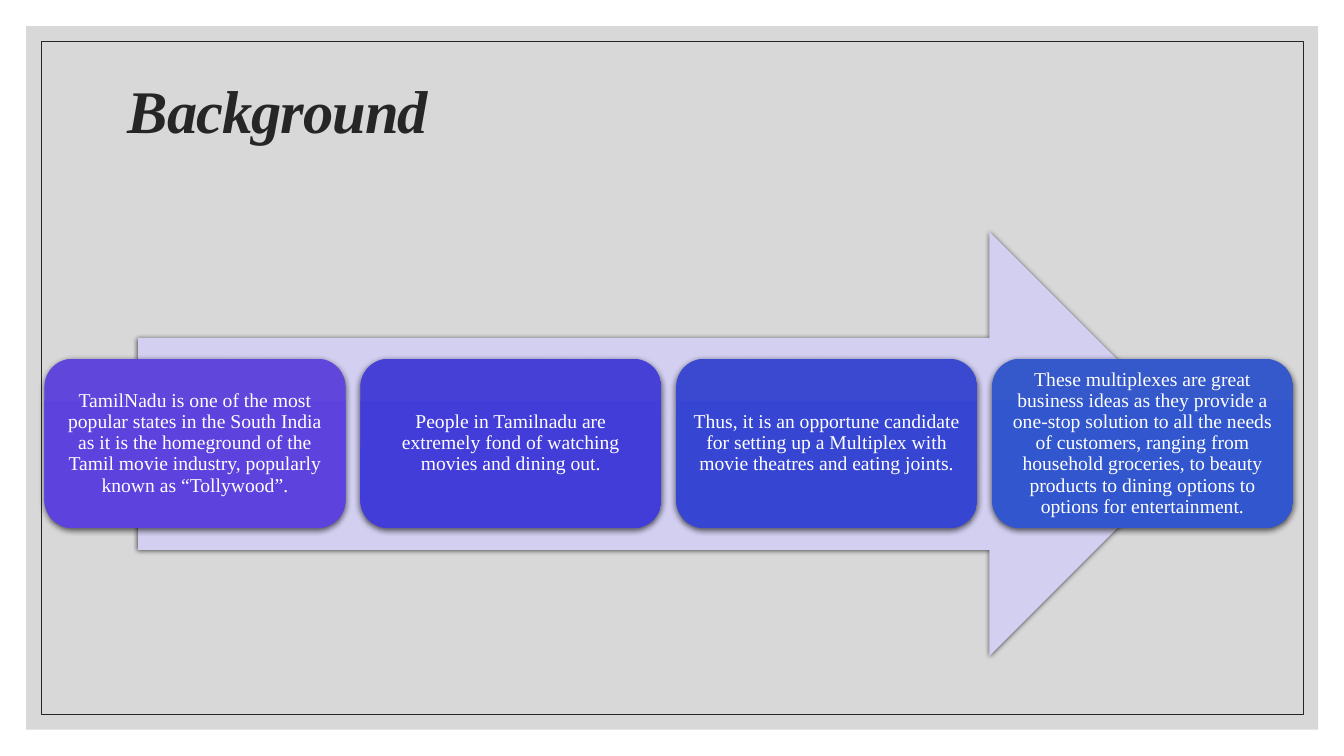
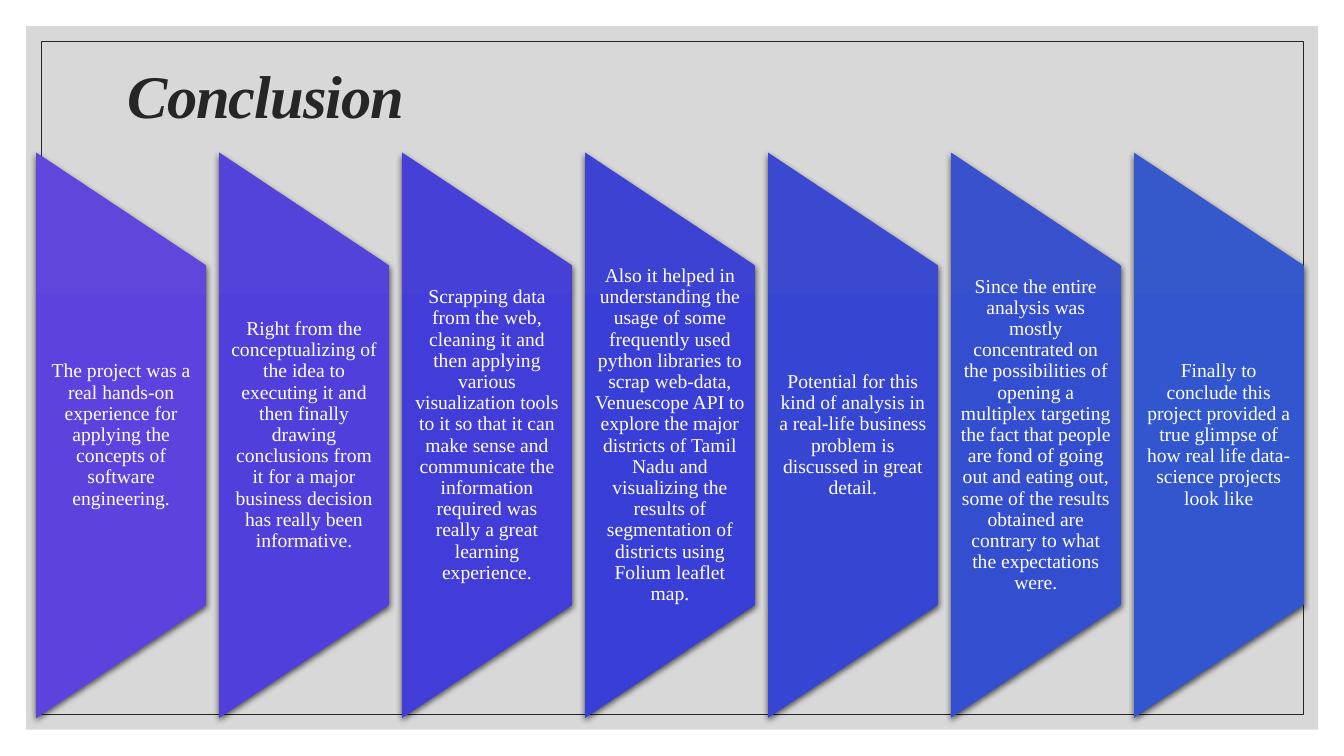
from lxml.etree import SubElement
from pptx import Presentation
from pptx.dml.color import RGBColor
from pptx.enum.shapes import MSO_SHAPE
from pptx.enum.text import MSO_ANCHOR, PP_ALIGN
from pptx.oxml.ns import qn
from pptx.util import Cm, Pt

COLORS = {
    "backdrop": "BFBFBF",
    "ink": "262626",
    "arrow": "D2CFF1",
    "light": "FFFFFF",
    "shadow": "000000",
}
# Violet to blue, each step as (top colour, colour from the middle down)
GRADIENTS = [
    ("6046DB", "5D42DE"),
    ("5343D8", "503FDB"),
    ("4640D6", "423CD8"),
    ("3D42D3", "393ED6"),
    ("3A49D0", "3646D3"),
    ("3851CD", "344ED0"),
    ("3558CA", "3156CD"),
]

BACKGROUND = [
    "TamilNadu is one of the most popular states in the South India as it is the "
    "homeground of the Tamil movie industry, popularly known as “Tollywood”.",
    "People in Tamilnadu are extremely fond of watching movies and dining out.",
    "Thus, it is an opportune candidate for setting up a Multiplex with movie "
    "theatres and eating joints.",
    "These multiplexes are great business ideas as they provide a one-stop solution "
    "to all the needs of customers, ranging from household groceries, to beauty "
    "products to dining options to options for entertainment.",
]
CONCLUSION = [
    "The project was a real hands-on experience for applying the concepts of "
    "software engineering.",
    "Right from the conceptualizing of the idea to executing it and then finally "
    "drawing conclusions from it for a major business decision has really been "
    "informative.",
    "Scrapping data from the web, cleaning it and then applying various "
    "visualization tools to it so that it can make sense and communicate the "
    "information required was really a great learning experience.",
    "Also it helped in understanding the usage of some frequently used python "
    "libraries to scrap web-data, Venuescope API to explore the major districts of "
    "Tamil Nadu and visualizing the results of segmentation of districts using "
    "Folium leaflet map.",
    "Potential for this kind of analysis in a real-life business problem is "
    "discussed in great detail.",
    "Since the entire analysis was mostly concentrated on the possibilities of "
    "opening a multiplex targeting the fact that people are fond of going out and "
    "eating out, some of the results obtained are contrary to what the expectations "
    "were.",
    "Finally to conclude this project provided a true glimpse of how real life "
    "data-science projects look like",
]

FONT = "Times New Roman"
TITLE_FONT = {"name": FONT, "size": Pt(43.2), "bold": True, "italic": True}
BODY_FONT = {"name": FONT, "size": Pt(14)}

# Lengths in centimetres
BACKDROP = (0.66, 0.66, 32.56, 17.73)
FRAME = (1.04, 1.04, 31.8, 16.97)
TITLE_LEFT, TITLE_WIDTH, TITLE_HEIGHT = 2.97, 27.94, 1.8
ARROW = (3.48, 5.84, 26.8, 10.69)
CARD_LEFT, CARD_TOP, CARD_WIDTH, CARD_HEIGHT, CARD_STEP = 1.12, 9.04, 7.59, 4.27, 7.96
PANEL_LEFT, PANEL_TOP, PANEL_WIDTH, PANEL_HEIGHT, PANEL_STEP = 0.91, 3.84, 4.29, 14.25, 4.61


def rgb(name):
    return RGBColor.from_string(COLORS.get(name, name))


def set_all(target, values):
    for attribute, value in values.items():
        setattr(target, attribute, value)


def add_plain_shape(slide, preset, box):
    """Add a preset shape without line or shadow."""
    shape = slide.shapes.add_shape(preset, *map(Cm, box))
    shape.shadow.inherit = False
    shape.line.fill.background()
    return shape


def cast_shadow(shape, blur, distance):
    effects = shape._element.spPr.find(qn("a:effectLst"))
    outer = SubElement(effects, qn("a:outerShdw"), blurRad=str(Pt(blur)),
                       dist=str(Pt(distance)), dir="5400000", rotWithShape="0")
    color = SubElement(outer, qn("a:srgbClr"), val=COLORS["shadow"])
    SubElement(color, qn("a:alpha"), val="63000")


def fill_gradient(shape, colors):
    """Fill from top to middle, keeping upright when the shape is turned."""
    shape.fill.gradient()
    shape.fill.gradient_angle = 270
    for stop, color, position in zip(shape.fill.gradient_stops, colors, (0, 0.5)):
        stop.color.rgb = rgb(color)
        stop.position = position
    shape._element.spPr.find(qn("a:gradFill")).set("rotWithShape", "0")
    cast_shadow(shape, 4.5, 1.5)


def write(shape, text, font, color, align, side, edge):
    """Write text in the middle; side and edge are the insets in centimetres."""
    frame = shape.text_frame
    set_all(frame, {
        "word_wrap": True, "vertical_anchor": MSO_ANCHOR.MIDDLE,
        "margin_left": Cm(side), "margin_right": Cm(side),
        "margin_top": Cm(edge), "margin_bottom": Cm(edge),
    })
    paragraph = frame.paragraphs[0]
    set_all(paragraph, {"alignment": align, "line_spacing": 0.9})
    run = paragraph.add_run()
    run.text = text
    set_all(run.font, font)
    run.font.color.rgb = rgb(color)
    return run


def add_base_slide(deck, title, title_middle):
    """Add a slide with the grey backdrop, thin frame and title."""
    slide = deck.slides.add_slide(deck.slide_layouts[6])
    backdrop = add_plain_shape(slide, MSO_SHAPE.RECTANGLE, BACKDROP)
    backdrop.fill.solid()
    backdrop.fill.fore_color.rgb = rgb("backdrop")
    tint = backdrop._element.spPr.find(qn("a:solidFill"))[0]
    SubElement(tint, qn("a:alpha"), val="60000")

    border = add_plain_shape(slide, MSO_SHAPE.RECTANGLE, FRAME)
    border.fill.background()
    border.line.color.rgb = rgb("ink")
    border.line.width = Pt(0.5)

    heading = slide.shapes.add_textbox(
        Cm(TITLE_LEFT), Cm(title_middle - TITLE_HEIGHT / 2), Cm(TITLE_WIDTH), Cm(TITLE_HEIGHT))
    run = write(heading, title, TITLE_FONT, "ink", PP_ALIGN.LEFT, 0.25, 0)
    run.font._element.set("spc", "-70")
    return slide


def build_background(deck):
    slide = add_base_slide(deck, "Background", 2.87)
    arrow = add_plain_shape(slide, MSO_SHAPE.RIGHT_ARROW, ARROW)
    arrow.fill.solid()
    arrow.fill.fore_color.rgb = rgb("arrow")
    cast_shadow(arrow, 3, 1)
    for i, (text, colors) in enumerate(zip(BACKGROUND, GRADIENTS[::2])):
        box = (CARD_LEFT + i * CARD_STEP, CARD_TOP, CARD_WIDTH, CARD_HEIGHT)
        card = add_plain_shape(slide, MSO_SHAPE.ROUNDED_RECTANGLE, box)
        fill_gradient(card, colors)
        write(card, text, BODY_FONT, "light", PP_ALIGN.CENTER, 0.15, 0.15)


def build_conclusion(deck):
    slide = add_base_slide(deck, "Conclusion", 2.49)
    turn = (PANEL_HEIGHT - PANEL_WIDTH) / 2
    for i, (text, colors) in enumerate(zip(CONCLUSION, GRADIENTS)):
        left = PANEL_LEFT + i * PANEL_STEP
        box = (left - turn, PANEL_TOP + turn, PANEL_HEIGHT, PANEL_WIDTH)
        panel = add_plain_shape(slide, MSO_SHAPE.FLOWCHART_MANUAL_OPERATION, box)
        panel.rotation = 270
        fill_gradient(panel, colors)
        label = slide.shapes.add_textbox(
            Cm(left), Cm(PANEL_TOP + PANEL_HEIGHT / 5), Cm(PANEL_WIDTH), Cm(PANEL_HEIGHT * 3 / 5))
        write(label, text, BODY_FONT, "light", PP_ALIGN.CENTER, 0.25, 0)


def main():
    deck = Presentation()
    deck.slide_width, deck.slide_height = Cm(33.87), Cm(19.05)
    build_background(deck)
    build_conclusion(deck)
    deck.save("out.pptx")


if __name__ == "__main__":
    main()
